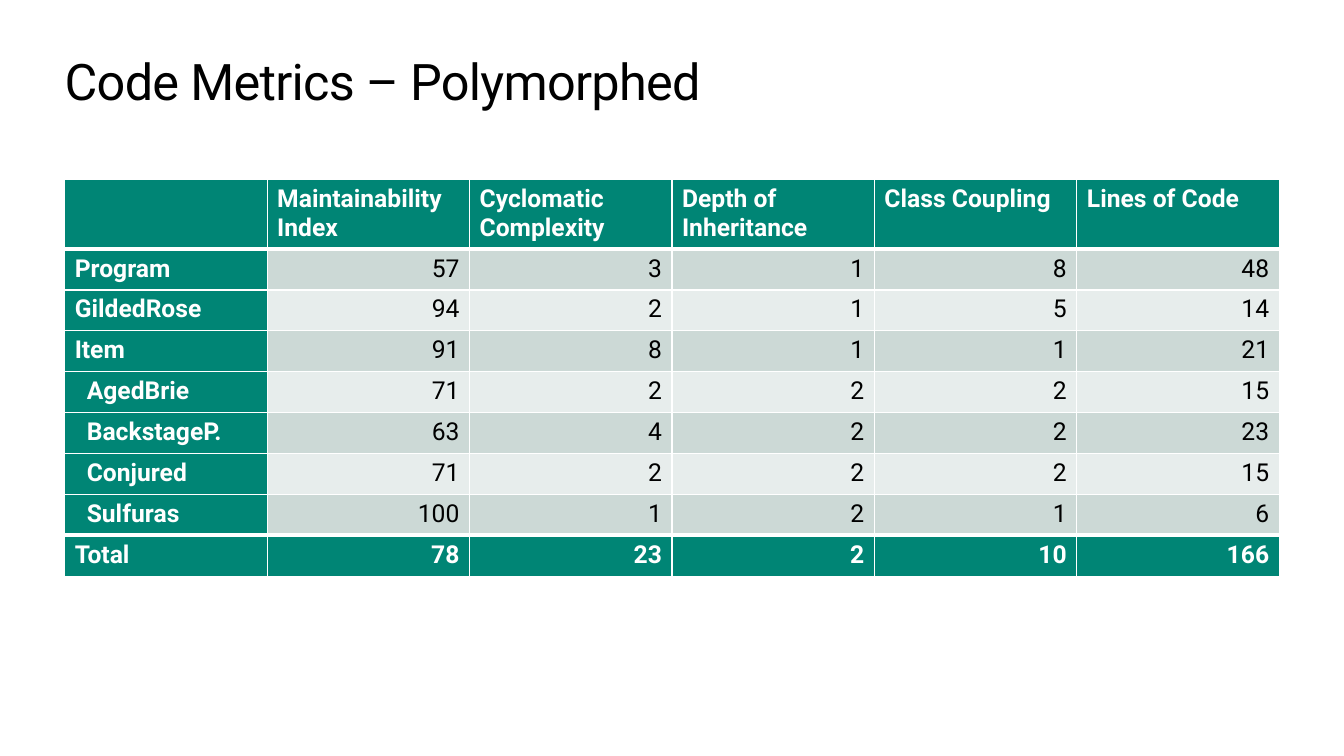
from pptx import Presentation
from pptx.dml.color import RGBColor
from pptx.enum.text import PP_ALIGN as Align
from pptx.oxml.ns import qn
from pptx.util import Pt
from lxml.etree import SubElement

FONT = "Roboto"
WHITE, BLACK, GREEN = "FFFFFF", "000000", "008575"
BANDS = ["CCD9D6", "E7EDEC"]
LEFT, WIDTH = 46.2, 867.6
HEADER_HEIGHT, ROW_HEIGHT = 47.8, 29.2
CELL_MARGIN, SUBCLASS_INDENT = 7.2, 8.6

HEADERS = ["", "Maintainability Index", "Cyclomatic Complexity",
           "Depth of Inheritance", "Class Coupling", "Lines of Code"]
METRICS = [
    ["Program", 57, 3, 1, 8, 48],
    ["GildedRose", 94, 2, 1, 5, 14],
    ["Item", 91, 8, 1, 1, 21],
    ["AgedBrie", 71, 2, 2, 2, 15],
    ["BackstageP.", 63, 4, 2, 2, 23],
    ["Conjured", 71, 2, 2, 2, 15],
    ["Sulfuras", 100, 1, 2, 1, 6],
    ["Total", 78, 23, 2, 10, 166],
]
SUBCLASSES = {"AgedBrie", "BackstageP.", "Conjured", "Sulfuras"}


def color(code):
    return RGBColor.from_string(code)


def format_runs(para, size, code, bold=False):
    for span in para.runs:
        span.font.name = FONT
        span.font.size = Pt(size)
        span.font.bold = bold
        span.font.color.rgb = color(code)


def add_title(page, text):
    box = page.shapes.add_textbox(Pt(LEFT), Pt(36), Pt(WIDTH), Pt(44))
    frame = box.text_frame
    frame.word_wrap = True
    frame.margin_left = frame.margin_right = 0
    frame.margin_top = frame.margin_bottom = 0
    frame.text = text
    para = frame.paragraphs[0]
    format_runs(para, 36, BLACK)
    para.runs[0].font._element.set("spc", "-50")


def set_borders(cell, top, bottom):
    """Draw white cell borders; top and bottom are widths in points."""
    properties = cell._tc.get_or_add_tcPr()
    widths = {"a:lnL": 1, "a:lnR": 1, "a:lnT": top, "a:lnB": bottom}
    for tag, width in widths.items():
        line = SubElement(properties, qn(tag), w=str(Pt(width)))
        fill = SubElement(line, qn("a:solidFill"))
        SubElement(fill, qn("a:srgbClr"), val=WHITE)


def fill_cell(cell, value, fill, emphasized, right):
    cell.text = str(value)
    cell.margin_left = Pt(CELL_MARGIN)
    if value in SUBCLASSES:
        cell.margin_left = Pt(CELL_MARGIN + SUBCLASS_INDENT)
    cell.fill.solid()
    cell.fill.fore_color.rgb = color(fill)
    para = cell.text_frame.paragraphs[0]
    para.alignment = Align.RIGHT if right else Align.LEFT
    format_runs(para, 17.6, WHITE if emphasized else BLACK, emphasized)


def add_metrics_table(page, rows):
    last = len(rows) - 1
    height = HEADER_HEIGHT + last * ROW_HEIGHT
    table = page.shapes.add_table(len(rows), len(HEADERS), Pt(LEFT), Pt(128.5),
                                  Pt(WIDTH), Pt(height)).table
    for column in table.columns:
        column.width = Pt(WIDTH / len(HEADERS))
    for r, values in enumerate(rows):
        table.rows[r].height = Pt(ROW_HEIGHT if r else HEADER_HEIGHT)
        for c, value in enumerate(values):
            cell = table.cell(r, c)
            emphasized = r in (0, last) or c == 0
            set_borders(cell, top=3 if r in (1, last) else 1,
                        bottom=3 if r in (0, last - 1) else 1)
            fill = GREEN if emphasized else BANDS[(r - 1) % 2]
            fill_cell(cell, value, fill, emphasized, right=r > 0 and c > 0)


def main():
    deck = Presentation()
    deck.slide_width, deck.slide_height = Pt(960), Pt(540)
    page = deck.slides.add_slide(deck.slide_layouts[6])
    add_title(page, "Code Metrics – Polymorphed")
    add_metrics_table(page, [HEADERS] + METRICS)
    deck.save("out.pptx")


if __name__ == "__main__":
    main()
